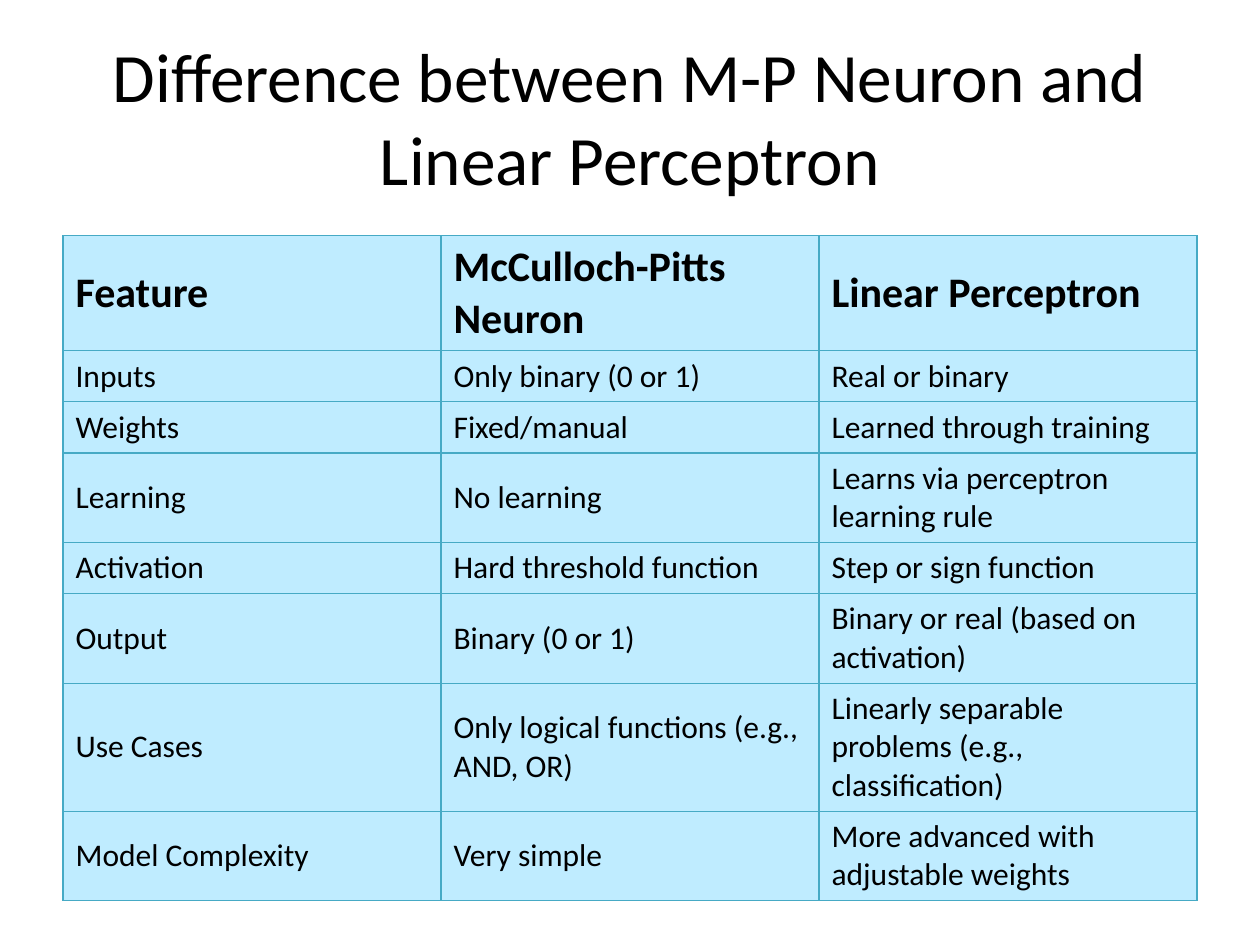
from lxml.etree import SubElement as Sub
from pptx import Presentation
from pptx.dml.color import RGBColor as Rgb
from pptx.enum.text import MSO_ANCHOR as Anchor, PP_ALIGN as Align
from pptx.oxml.ns import qn
from pptx.util import Inches, Pt

FONT, INK, FILL, EDGE = "Calibri", "000000", "BFECFF", "46AAC5"
WIDE, HIGH = Inches(10), Inches(7.5)
LEFT, SPAN = 0.05, 0.9
HEAD, PAD, LINE = 0.91, 0.1, 0.305
ROWS = [
    (2, "Feature", "McCulloch-Pitts Neuron", "Linear Perceptron"),
    (1, "Inputs", "Only binary (0 or 1)", "Real or binary"),
    (1, "Weights", "Fixed/manual", "Learned through training"),
    (2, "Learning", "No learning", "Learns via perceptron learning rule"),
    (1, "Activation", "Hard threshold function", "Step or sign function"),
    (2, "Output", "Binary (0 or 1)", "Binary or real (based on activation)"),
    (3, "Use Cases", "Only logical functions (e.g., AND, OR)",
     "Linearly separable problems (e.g., classification)"),
    (2, "Model Complexity", "Very simple",
     "More advanced with adjustable weights"),
]


def color(code):
    """Turn a hex string into a colour."""
    return Rgb.from_string(code)


def style(para, size, bold=False):
    """Set the font of a paragraph."""
    font = para.font
    font.name, font.size, font.bold = FONT, Pt(size), bold
    font.color.rgb = color(INK)


def add_title(slide, text):
    """Place and fill the title."""
    title = slide.shapes.title
    title.left, title.top = int(WIDE * LEFT), int(HIGH * 0.04)
    title.width, title.height = int(WIDE * SPAN), Inches(1.25)
    frame = title.text_frame
    frame.text = text
    frame.word_wrap = True
    frame.vertical_anchor = Anchor.MIDDLE
    para = frame.paragraphs[0]
    para.alignment = Align.CENTER
    style(para, 39.6)


def add_edges(cell):
    """Draw a thin line on each side of a cell."""
    props = cell._tc.get_or_add_tcPr()
    for side in "LRTB":
        line = Sub(props, qn(f"a:ln{side}"), w=str(Pt(0.75)))
        Sub(Sub(line, qn("a:solidFill")), qn("a:srgbClr"), val=EDGE)


def fill_cell(cell, text, head):
    """Write and format one cell."""
    cell.text = text
    cell.vertical_anchor = Anchor.MIDDLE
    add_edges(cell)
    cell.fill.solid()
    cell.fill.fore_color.rgb = color(FILL)
    style(cell.text_frame.paragraphs[0], 24 if head else 18, head)


def add_grid(slide, rows):
    """Build the table, with row heights that follow the line counts."""
    highs = [Inches(PAD + LINE * row[0]) for row in rows]
    highs[0] = Inches(HEAD)
    grid = slide.shapes.add_table(
        len(rows), len(rows[0]) - 1, int(WIDE * LEFT), Inches(1.87),
        int(WIDE * SPAN), sum(highs)).table
    for r, (_, *texts) in enumerate(rows):
        grid.rows[r].height = highs[r]
        for c, text in enumerate(texts):
            fill_cell(grid.cell(r, c), text, r == 0)


def main():
    """Make the slide and save it."""
    deck = Presentation()
    deck.slide_width, deck.slide_height = WIDE, HIGH
    slide = deck.slides.add_slide(deck.slide_layouts[5])
    add_title(slide, "Difference between M-P Neuron and Linear Perceptron")
    add_grid(slide, ROWS)
    deck.save("out.pptx")


if __name__ == "__main__":
    main()
